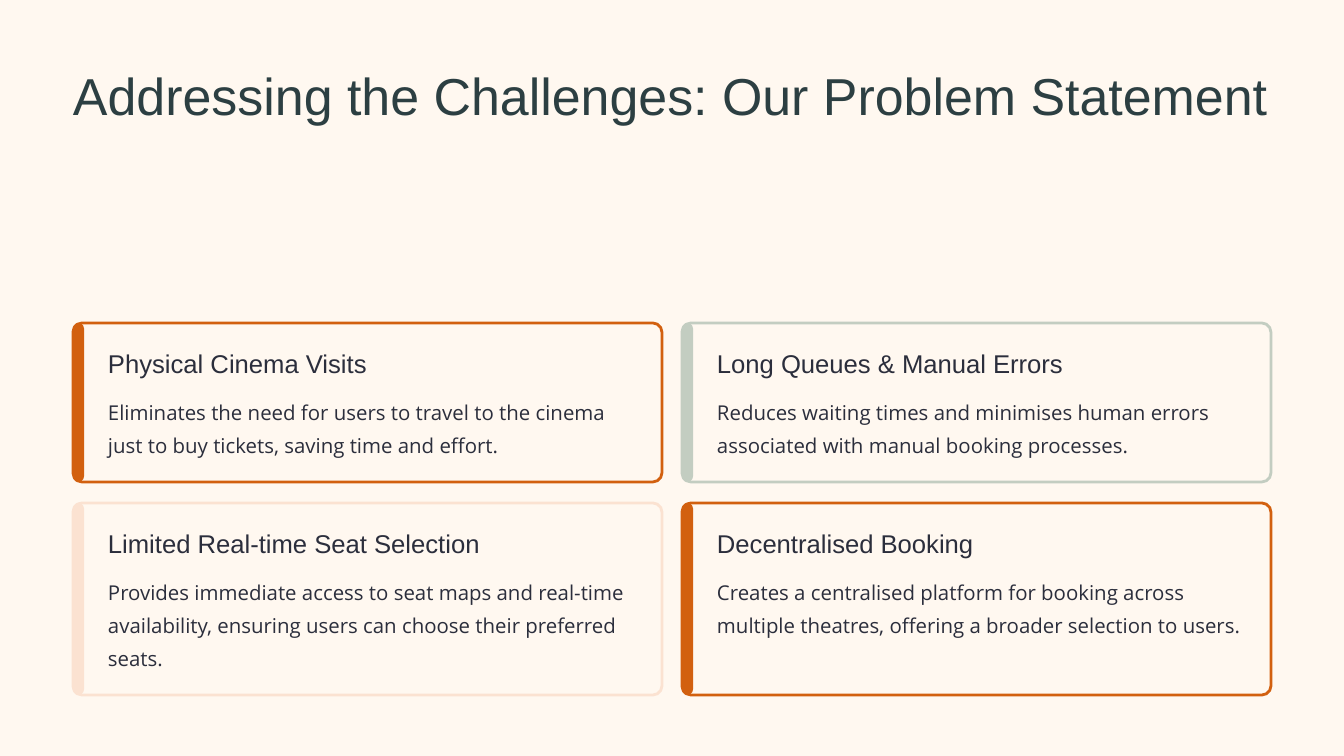
from dataclasses import dataclass

from pptx import Presentation
from pptx.dml.color import RGBColor
from pptx.enum.shapes import MSO_SHAPE
from pptx.shapes.autoshape import Shape
from pptx.slide import Slide
from pptx.util import Emu, Pt

PX = 914400 / 84


@dataclass(frozen=True)
class TextStyle:
    font: str
    size: float
    leading: float
    color: str


@dataclass(frozen=True)
class Theme:
    background: str = "FFF8F0"
    orange: str = "D2600F"
    sage: str = "C3CDC1"
    peach: str = "FBE2D1"
    outline: float = 2.4
    title: TextStyle = TextStyle("Arial", 44.5, 55.5, "2C3F42")
    heading: TextStyle = TextStyle("Arial", 22, 27.5, "2B2E3C")
    body: TextStyle = TextStyle("Open Sans", 17.5, 28.5, "2B2E3C")


@dataclass(frozen=True)
class Box:
    left: int
    top: int
    width: int
    height: int

    def emu(self) -> tuple[Emu, ...]:
        lengths = (self.left, self.top, self.width, self.height)
        return tuple(Emu(round(length * PX)) for length in lengths)


@dataclass(frozen=True)
class Challenge:
    heading: str
    body: str
    accent: str


THEME = Theme()
MARGIN, CARD_WIDTH, GAP = 73, 589, 20
CARDS_TOP, ROW_GAP = 323, 21
ROW_HEIGHTS = (159, 192)
CORNER, BAR_WIDTH = 9, 11
TEXT_INSET, TEXT_WIDTH = 35, 530
HEADING_DROP, HEADING_HEIGHT = 24, 33
BODY_DROP, BODY_FOOT = 68, 24

CHALLENGES = (
    Challenge(
        "Physical Cinema Visits",
        "Eliminates the need for users to travel to the cinema just to buy "
        "tickets, saving time and effort.",
        THEME.orange,
    ),
    Challenge(
        "Long Queues & Manual Errors",
        "Reduces waiting times and minimises human errors associated with "
        "manual booking processes.",
        THEME.sage,
    ),
    Challenge(
        "Limited Real-time Seat Selection",
        "Provides immediate access to seat maps and real-time availability, "
        "ensuring users can choose their preferred seats.",
        THEME.peach,
    ),
    Challenge(
        "Decentralised Booking",
        "Creates a centralised platform for booking across multiple theatres, "
        "offering a broader selection to users.",
        THEME.orange,
    ),
)


def add_text(slide: Slide, box: Box, text: str, style: TextStyle) -> None:
    frame = slide.shapes.add_textbox(*box.emu()).text_frame
    frame.word_wrap = True
    frame.margin_left = frame.margin_right = 0
    frame.margin_top = frame.margin_bottom = 0
    frame.text = text
    paragraph = frame.paragraphs[0]
    paragraph.line_spacing = Pt(style.leading)
    font = paragraph.runs[0].font
    font.name = style.font
    font.size = Pt(style.size)
    font.color.rgb = RGBColor.from_string(style.color)


def add_rounded(slide: Slide, box: Box, fill: str) -> Shape:
    rounded = slide.shapes.add_shape(MSO_SHAPE.ROUNDED_RECTANGLE, *box.emu())
    rounded.shadow.inherit = False
    rounded.adjustments[0] = round(CORNER / min(box.width, box.height), 3)
    rounded.fill.solid()
    rounded.fill.fore_color.rgb = RGBColor.from_string(fill)
    rounded.line.fill.background()
    return rounded


def add_card(slide: Slide, box: Box, challenge: Challenge) -> None:
    # Outlined panel with its accent bar
    panel = add_rounded(slide, box, THEME.background)
    panel.line.color.rgb = RGBColor.from_string(challenge.accent)
    panel.line.width = Pt(THEME.outline)
    bar = Box(box.left, box.top, BAR_WIDTH, box.height)
    add_rounded(slide, bar, challenge.accent)

    # Heading and explanation
    text_left = box.left + TEXT_INSET
    heading = Box(text_left, box.top + HEADING_DROP, TEXT_WIDTH, HEADING_HEIGHT)
    add_text(slide, heading, challenge.heading, THEME.heading)
    body_height = box.height - BODY_DROP - BODY_FOOT
    body = Box(text_left, box.top + BODY_DROP, TEXT_WIDTH, body_height)
    add_text(slide, body, challenge.body, THEME.body)


def main() -> None:
    deck = Presentation()
    deck.slide_width, deck.slide_height = Box(0, 0, 1344, 756).emu()[2:]
    slide = deck.slides.add_slide(deck.slide_layouts[6])
    slide.background.fill.solid()
    slide.background.fill.fore_color.rgb = RGBColor.from_string(THEME.background)

    # Title
    title = Box(MARGIN, 61, 2 * CARD_WIDTH + GAP, 130)
    add_text(slide, title, "Addressing the Challenges: Our Problem Statement", THEME.title)

    # Grid of challenges, two to a row
    for index, challenge in enumerate(CHALLENGES):
        row, column = divmod(index, 2)
        left = MARGIN + column * (CARD_WIDTH + GAP)
        top = CARDS_TOP + sum(ROW_HEIGHTS[:row]) + row * ROW_GAP
        add_card(slide, Box(left, top, CARD_WIDTH, ROW_HEIGHTS[row]), challenge)

    deck.save("out.pptx")


if __name__ == "__main__":
    main()
